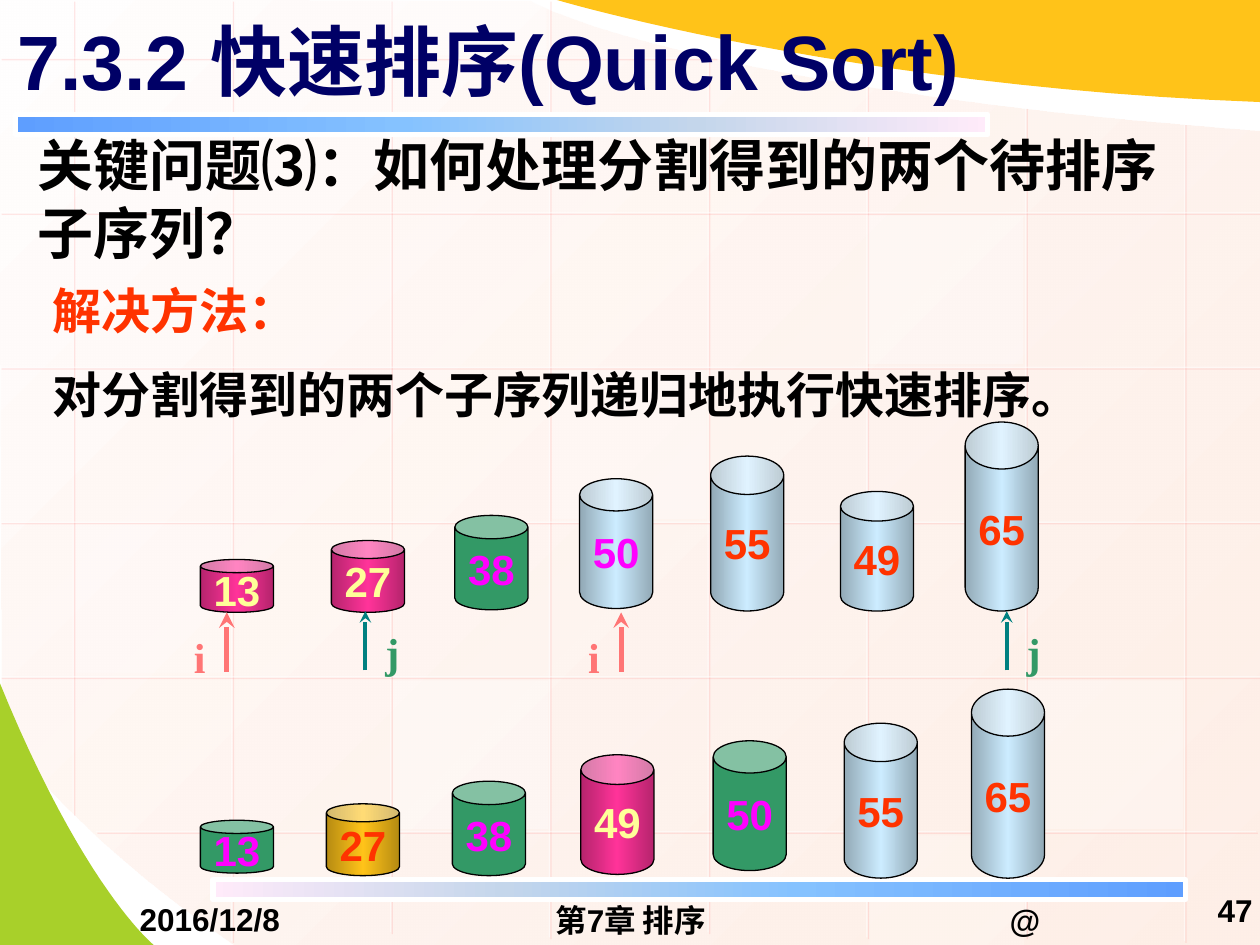
from dataclasses import dataclass

from lxml import etree
from pptx import Presentation
from pptx.dml.color import RGBColor
from pptx.enum.shapes import MSO_CONNECTOR, MSO_SHAPE
from pptx.enum.text import MSO_ANCHOR, MSO_AUTO_SIZE, PP_ALIGN
from pptx.oxml import parse_xml
from pptx.oxml.ns import nsdecls, qn
from pptx.util import Inches, Pt

LINE = MSO_CONNECTOR.STRAIGHT
RECT, CAN = MSO_SHAPE.RECTANGLE, MSO_SHAPE.CAN
TOP, MID = MSO_ANCHOR.TOP, MSO_ANCHOR.MIDDLE
LEFT, CENTER, RIGHT = PP_ALIGN.LEFT, PP_ALIGN.CENTER, PP_ALIGN.RIGHT


@dataclass(frozen=True)
class Theme:
    sans: str = "Arial"
    serif: str = "Times New Roman"
    cjk: str = "Noto Sans CJK SC"
    black: str = "000000"
    white: str = "FFFFFF"
    navy: str = "000066"
    red: str = "FF3300"
    pink: str = "FF7575"
    teal: str = "008080"
    green: str = "339966"
    lime: str = "A8D02A"
    gold: str = "FFC319"
    magenta: str = "FF00FF"
    cream: str = "FFFF99"
    page: tuple = ((0, "FFFEFE", 100), (100, "FEE9DE", 70))
    bar: tuple = ((0, "5E9EFF", 100), (40, "85C2FF", 100),
                  (70, "C4D6EB", 100), (100, "FFEBFA", 100))
    title: int = 44
    head: int = 32
    body: int = 28
    label: int = 24
    foot: int = 18


T = Theme()


def sheen(edge, core):
    return (0, edge, 100), (50, core, 100), (100, edge, 100)


# Can styles: fill and number colour
STEEL = sheen("92A9B6", "CCECFF")
ROSE = sheen("B6246D", "FF3399")
BRASS = sheen("B68B12", T.gold)
DONE = (T.green, T.magenta)
PIVOT = (ROSE, T.cream)
OPEN = (STEEL, T.red)
MARK = (STEEL, T.magenta)
LAST = (BRASS, T.red)

# Value: height and rim ratio
SIZES = {13: (0.42, 0.25), 27: (0.57, 0.25), 38: (0.75, 0.321), 49: (0.95, 0.406),
         50: (1.03, 0.441), 55: (1.23, 0.526), 65: (1.5, 0.643)}

# Value, left, top, style
UPPER = [(13, 1.59, 4.44, PIVOT), (27, 2.63, 4.29, PIVOT), (38, 3.61, 4.09, DONE),
         (50, 4.6, 3.8, MARK), (55, 5.64, 3.62, OPEN), (49, 6.67, 3.9, OPEN),
         (65, 7.66, 3.35, OPEN)]
LOWER = [(13, 1.59, 6.51, DONE), (27, 2.59, 6.38, LAST), (38, 3.59, 6.2, DONE),
         (49, 4.61, 5.99, PIVOT), (50, 5.66, 5.88, DONE), (55, 6.7, 5.74, OPEN),
         (65, 7.71, 5.47, OPEN)]


def rgb(code):
    return RGBColor.from_string(code)


def fade(color, alpha):
    etree.SubElement(color, qn("a:alpha"), val=str(alpha * 1000))


def paint(shape, fill, alpha=100, angle=0):
    """Fill with one colour or with (place, colour, alpha) stops."""
    shape.shadow.inherit = False
    shape.line.fill.background()
    if isinstance(fill, str):
        shape.fill.solid()
        shape.fill.fore_color.rgb = rgb(fill)
        if alpha < 100:
            fade(shape._element.spPr.find(".//" + qn("a:srgbClr")), alpha)
        return
    stops = "".join(
        f'<a:gs pos="{at * 1000}"><a:srgbClr val="{code}">'
        f'<a:alpha val="{seen * 1000}"/></a:srgbClr></a:gs>' for at, code, seen in fill)
    grad = parse_xml(f'<a:gradFill rotWithShape="1" {nsdecls("a")}><a:gsLst>{stops}</a:gsLst>'
                     f'<a:lin ang="{angle * 60000}" scaled="0"/></a:gradFill>')
    shape.line._get_or_add_ln().addprevious(grad)


def edge(shape, color, width):
    shape.line.color.rgb = rgb(color)
    shape.line.width = Pt(width)


def write(shape, lines, size, color, font=T.sans, align=LEFT, anchor=TOP, wrap=True):
    """Lines are texts or (text, colour) pairs."""
    frame = shape.text_frame
    frame.word_wrap = wrap
    frame.vertical_anchor = anchor
    for i, line in enumerate(lines):
        words, shade = (line, color) if isinstance(line, str) else line
        para = frame.add_paragraph() if i else frame.paragraphs[0]
        para.text = words
        para.alignment = align
        if i:
            para.space_before = Pt(size / 2)
        face = para.font
        face.name, face.size, face.bold = font, Pt(size), True
        face.color.rgb = rgb(shade)


def add_text(slide, box, lines, size, color=T.black, flat=False, **kw):
    shape = slide.shapes.add_textbox(*map(Inches, box))
    if flat:
        shape.text_frame.margin_top = shape.text_frame.margin_bottom = 0
    shape.text_frame.auto_size = MSO_AUTO_SIZE.NONE
    write(shape, lines, size, color, **kw)


def add_rect(slide, box, fill, **kw):
    shape = slide.shapes.add_shape(RECT, *map(Inches, box))
    paint(shape, fill, **kw)
    return shape


def add_line(slide, ends, color, width):
    line = slide.shapes.add_connector(LINE, *map(Inches, ends))
    edge(line, color, width)
    return line, etree.SubElement(line._element.spPr, qn("a:effectLst"))


def add_rule(slide, *ends):
    """Faint white grid line with a thin pink shadow."""
    line, fx = add_line(slide, ends, T.white, 0.75)
    fade(line._element.spPr.find(".//" + qn("a:srgbClr")), 50)
    cast = etree.SubElement(fx, qn("a:outerShdw"), dist=str(Pt(1.4)), dir="2700000",
                            algn="ctr", rotWithShape="0")
    fade(etree.SubElement(cast, qn("a:srgbClr"), val=T.pink), 33)


def curve(a, b, c, d, steps=24):
    """Points along a cubic curve."""
    def spot(t):
        u = 1 - t
        return tuple(u**3 * p + 3 * u * u * t * q + 3 * u * t * t * r + t**3 * s
                     for p, q, r, s in zip(a, b, c, d))
    return [spot(i / steps) for i in range(steps + 1)]


def add_form(slide, points, fill, **kw):
    dots = [(Inches(x), Inches(y)) for x, y in points]
    form = slide.shapes.build_freeform(*dots[0])
    form.add_line_segments(dots[1:], close=True)
    paint(form.convert_to_shape(), fill, **kw)


def add_can(slide, value, left, top, style):
    fill, color = style
    tall, rim = SIZES[value]
    can = slide.shapes.add_shape(CAN, *map(Inches, (left, top, 0.58, tall)))
    can.adjustments[0] = rim
    paint(can, fill)
    edge(can, T.black, 0.75)
    write(can, [str(value)], T.label, color, align=CENTER, anchor=MID, wrap=False)


def add_mark(slide, name, x):
    """Index arrow with its letter beside it."""
    if name == "i":
        color, ink, width, low, left, top = T.pink, T.pink, 3, 5.33, x - 0.36, 4.96
    else:
        color, ink, width, low, left, top = T.teal, T.green, 2.25, 5.32, x + 0.06, 4.92
    line, _ = add_line(slide, (x, low, x, low - 0.47), color, width)
    etree.SubElement(line.line._get_or_add_ln(), qn("a:tailEnd"), type="stealth")
    add_text(slide, (left, top, 0.25, 0.5), [name], T.label, ink, font=T.serif)


def add_back(slide):
    # Page panel and lime corner
    panel = [(10.01, 1.04), (10.01, 7.49)]
    panel += curve((1.87, 7.5), (0.55, 6.6), (0.01, 5.8), (0.02, 5.8))
    panel += [(-0.01, -0.01)]
    panel += curve((4.21, 0.01), (4.21, 0.01), (5.37, 0.69), (10.01, 1.04))
    add_form(slide, panel, T.page, angle=45)
    add_form(slide, [(-0.01, 5.4), (-0.01, 7.5)]
             + curve((1.22, 7.5), (1.22, 7.5), (0.66, 7.05), (-0.01, 5.4)), T.lime)
    # Grid
    spans = [(0, 6.46), (0, 7.47), (0, 7.4), (0, 7.44),
             (0.43, 7.4), (0.68, 7.44), (0.85, 7.44), (0.98, 7.47)]
    for i, (top, low) in enumerate(spans):
        x = 0.58 + 1.26 * i
        add_rule(slide, x, top, x, low)
    ends = [(5.68, 0)] + [(10.01, 0)] * 4 + [(9.97, 0.76)]
    for i, (right, left) in enumerate(ends):
        y = 0.46 + 1.228 * i
        add_rule(slide, right, y, left, y)
    # Pale tiles
    for left, top, tall, alpha in [
            (4.38, 2.94, 1.18, 25), (8.16, 5.4, 1.18, 30), (0.6, 4.16, 1.18, 20),
            (6.9, 6.63, 0.87, 20), (3.11, 0, 0.44, 40), (3.12, 5.4, 1.18, 30),
            (6.89, 1.71, 1.18, 30)]:
        add_rect(slide, (left, top, 1.23, tall), T.white, alpha=alpha)
    # Gold sweep and bars
    add_form(slide, [(10, 0)] + curve((4.42, 0), (4.42, 0), (6.74, 0.69), (10, 0.81)), T.gold)
    for left, top, turn in [(0.12, 0.91, 0), (1.69, 6.98, 180)]:
        bar = add_rect(slide, (left, top, 7.72, 0.16), T.bar)
        bar.rotation = turn
        edge(bar, T.white, 3)


def add_words(slide):
    add_text(slide, (0.04, -0.03, 9, 1.01), ["7.3.2 快速排序(Quick Sort)"],
             T.title, T.navy, anchor=MID)
    for box, words in [((6.97, 7.15, 2.33, 0.3), "@"), ((0.5, 7.14, 2.33, 0.3), "2016/12/8"),
                       ((3.42, 7.15, 3.17, 0.3), "第7章 排序")]:
        add_text(slide, box, [words], T.foot, flat=True, align=CENTER, anchor=MID)
    add_text(slide, (9.38, 6.98, 0.66, 0.49), ["47"], T.foot, align=RIGHT, anchor=MID)
    add_text(slide, (0.32, 2.18, 9.3, 1.27),
             [("解决方法：", T.red), "对分割得到的两个子序列递归地执行快速排序。"],
             T.body, font=T.cjk)
    add_text(slide, (0.2, 0.99, 9.4, 1.17),
             ["关键问题⑶：如何处理分割得到的两个待排序子序列？"], T.head)


def main():
    deck = Presentation()
    deck.slide_width, deck.slide_height = Inches(10), Inches(7.5)
    slide = deck.slides.add_slide(deck.slide_layouts[6])
    add_back(slide)
    add_words(slide)
    # Sequence before and after the split
    for can in LOWER + UPPER:
        add_can(slide, *can)
    for name, x in [("i", 1.8), ("j", 2.9), ("i", 4.93), ("j", 7.99)]:
        add_mark(slide, name, x)
    deck.save("out.pptx")


if __name__ == "__main__":
    main()
